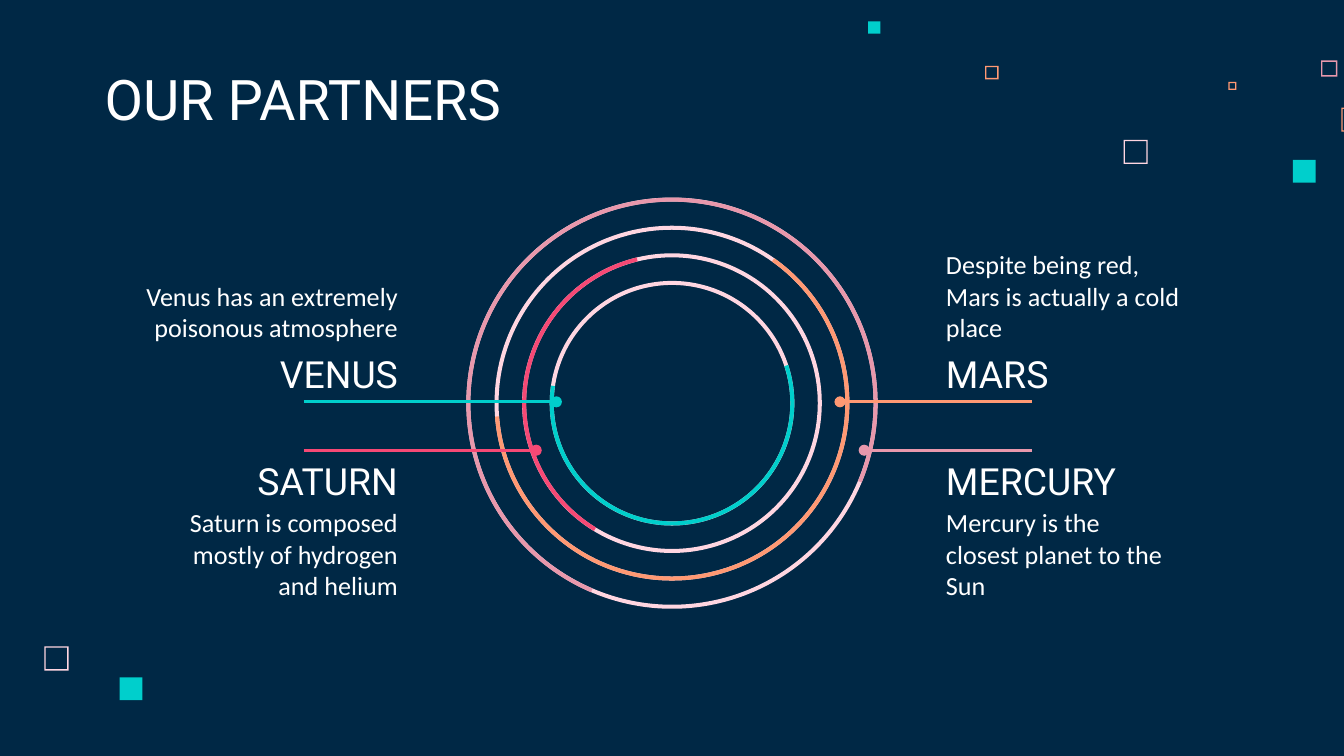
from pptx import Presentation
from pptx.dml.color import RGBColor
from pptx.enum.shapes import MSO_CONNECTOR, MSO_SHAPE as SHAPE
from pptx.enum.text import MSO_ANCHOR as ANCHOR, PP_ALIGN as ALIGN
from pptx.oxml.ns import qn
from pptx.util import Inches, Pt
from lxml import etree

COLORS = {
    "navy": "002845", "white": "FFFFFF", "blush": "FFD6E1", "rose": "E898AC",
    "orange": "FF9973", "red": "F64975", "teal": "00CFCC",
}
FORMATS = {
    "title": {"name": "Roboto", "size": Pt(30)},
    "name": {"name": "Roboto", "size": Pt(20)},
    "body": {"name": "Calibri", "size": Pt(14)},
}


def add_filled(kind, left, top, size, color, adjustments=()):
    """Add a square-bounded preset shape with a plain fill and no outline."""
    shape = page.shapes.add_shape(
        kind, Inches(left), Inches(top), Inches(size), Inches(size))
    shape.shadow.inherit = False
    shape.fill.solid()
    shape.fill.fore_color.rgb = RGBColor.from_string(COLORS[color])
    shape.line.fill.background()
    for index, value in enumerate(adjustments):
        shape.adjustments[index] = value
    return shape


def add_text(text, style, left, top, width, height, anchor, align):
    box = page.shapes.add_textbox(
        Inches(left), Inches(top), Inches(width), Inches(height))
    frame = box.text_frame
    frame.word_wrap = True
    frame.vertical_anchor = anchor
    for side in ("left", "top", "right", "bottom"):
        setattr(frame, f"margin_{side}", Inches(0.1))
    para = frame.paragraphs[0]
    para.alignment = align
    span = para.add_run()
    span.text = text
    for key, value in FORMATS[style].items():
        setattr(span.font, key, value)
    span.font.color.rgb = RGBColor.from_string(COLORS["white"])


deck = Presentation()
deck.slide_width = Inches(10)
deck.slide_height = Inches(10 * 9 / 16)
page = deck.slides.add_slide(deck.slide_layouts[6])
page.background.fill.solid()
page.background.fill.fore_color.rgb = RGBColor.from_string(COLORS["navy"])

# Scattered squares: left, top, size, colour
hollow_squares = [
    (8.36, 1.04, 0.18, "blush"), (9.83, 0.45, 0.12, "rose"),
    (9.14, 0.61, 0.06, "orange"), (9.98, 0.8, 0.18, "orange"),
    (7.33, 0.49, 0.1, "orange"), (0.33, 4.81, 0.18, "blush"),
]
solid_squares = [
    (9.62, 1.19, 0.17, "teal"), (6.46, 0.16, 0.09, "teal"),
    (0.89, 5.04, 0.17, "teal"),
]
for left, top, size, color in hollow_squares:
    add_filled(SHAPE.FRAME, left, top, size, color, [0.01 / size])
for left, top, size, color in solid_squares:
    add_filled(SHAPE.RECTANGLE, left, top, size, color)

# Title and the four planets
add_text("OUR PARTNERS", "title", 0.68, 0.45, 5.17, 0.63, ANCHOR.BOTTOM, ALIGN.LEFT)
# name, name top, description, description left, top, width
planets = [
    ("VENUS", 2.51, "Venus has an extremely poisonous atmosphere", 0.96, 1.94, 2.1),
    ("MARS", 2.51, "Despite being red, Mars is actually a cold place", 6.94, 1.94, 2.06),
    ("SATURN", 3.13, "Saturn is composed mostly of hydrogen and helium", 1, 3.67, 2.06),
    ("MERCURY", 3.13, "Mercury is the closest planet to the Sun", 6.94, 3.67, 1.81),
]
for name, name_top, description, left, top, width in planets:
    on_left, above = left < 5, top < 3
    align = ALIGN.RIGHT if on_left else ALIGN.LEFT
    name_anchor, body_anchor = (
        (ANCHOR.TOP, ANCHOR.BOTTOM) if above else (ANCHOR.BOTTOM, ANCHOR.TOP))
    add_text(name, "name", 1 if on_left else 6.94, name_top, 2.06, 0.71,
             name_anchor, align)
    add_text(description, "body", left, top, width, 0.71, body_anchor, align)

# Concentric rings, each partly covered by a coloured arc
CENTER_X, CENTER_Y, THICKNESS = 5, 3, 0.03
# diameter, arc colour, rotation, arc start and end in degrees
rings = [
    (3.06, "rose", 210, 263.19, 172.67),
    (2.64, "orange", 0, 305.23, 175.64),
    (2.23, "red", 81.2, 40.21, 175.17),
    (1.82, "teal", 13.1, 328.69, 175.17),
]
for diameter, *_ in rings:
    add_filled(SHAPE.DONUT, CENTER_X - diameter / 2, CENTER_Y - diameter / 2,
               diameter, "blush", [THICKNESS / diameter])
for diameter, color, rotation, start, end in rings:
    # Adjustments count in 100000ths, arc angles in 60000ths of a degree
    arc = add_filled(SHAPE.BLOCK_ARC, CENTER_X - diameter / 2, CENTER_Y - diameter / 2,
                     diameter, color, [start * 0.6, end * 0.6, THICKNESS / diameter])
    arc.rotation = rotation

# Pointers ending in a dot: start x, end x, y, colour
pointers = [
    (2.26, 4.14, 2.99, "teal"), (2.26, 3.99, 3.35, "red"),
    (7.68, 6.25, 2.99, "orange"), (7.68, 6.43, 3.35, "rose"),
]
for start, end, y, color in pointers:
    pointer = page.shapes.add_connector(
        MSO_CONNECTOR.STRAIGHT, Inches(start), Inches(y), Inches(end), Inches(y))
    pointer.line.width = Pt(1.5)
    pointer.line.color.rgb = RGBColor.from_string(COLORS[color])
    shape_format = pointer._element.spPr
    etree.SubElement(shape_format.find(qn("a:ln")), qn("a:tailEnd"), type="oval")
    etree.SubElement(shape_format, qn("a:effectLst"))

deck.save("out.pptx")
